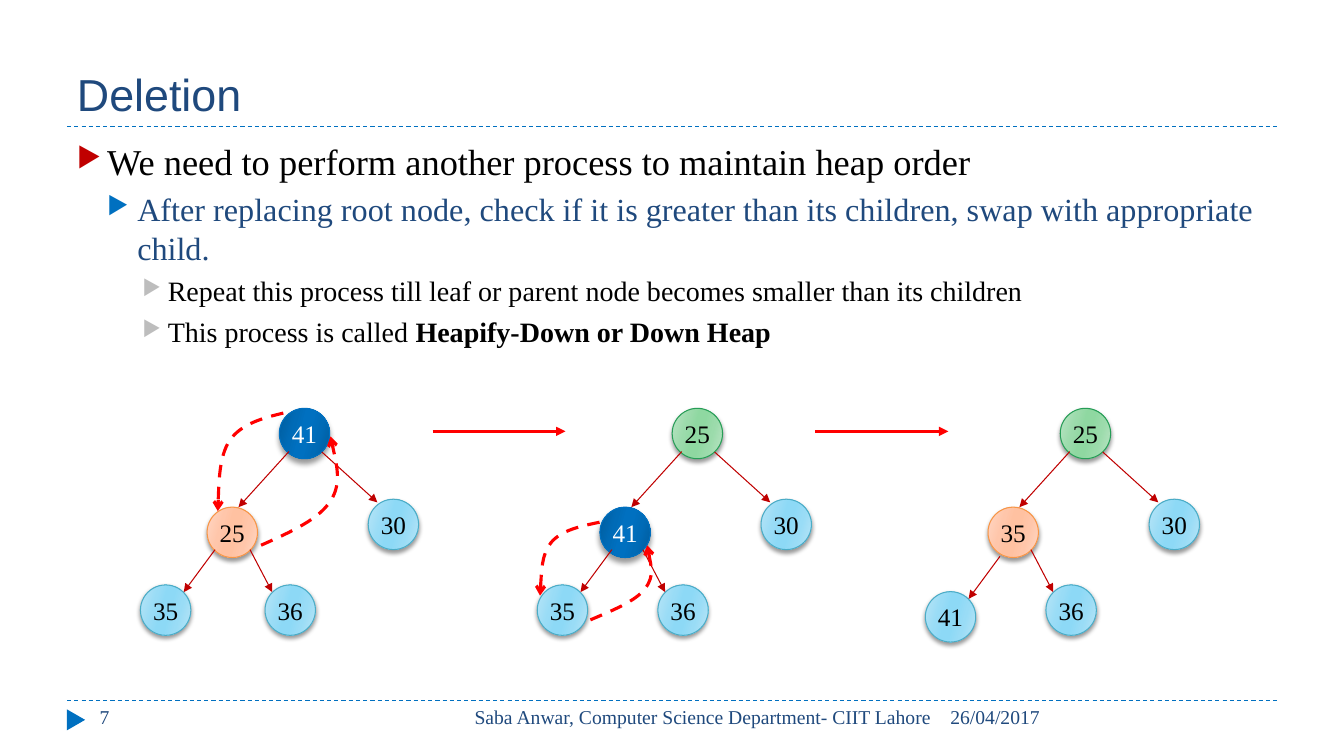
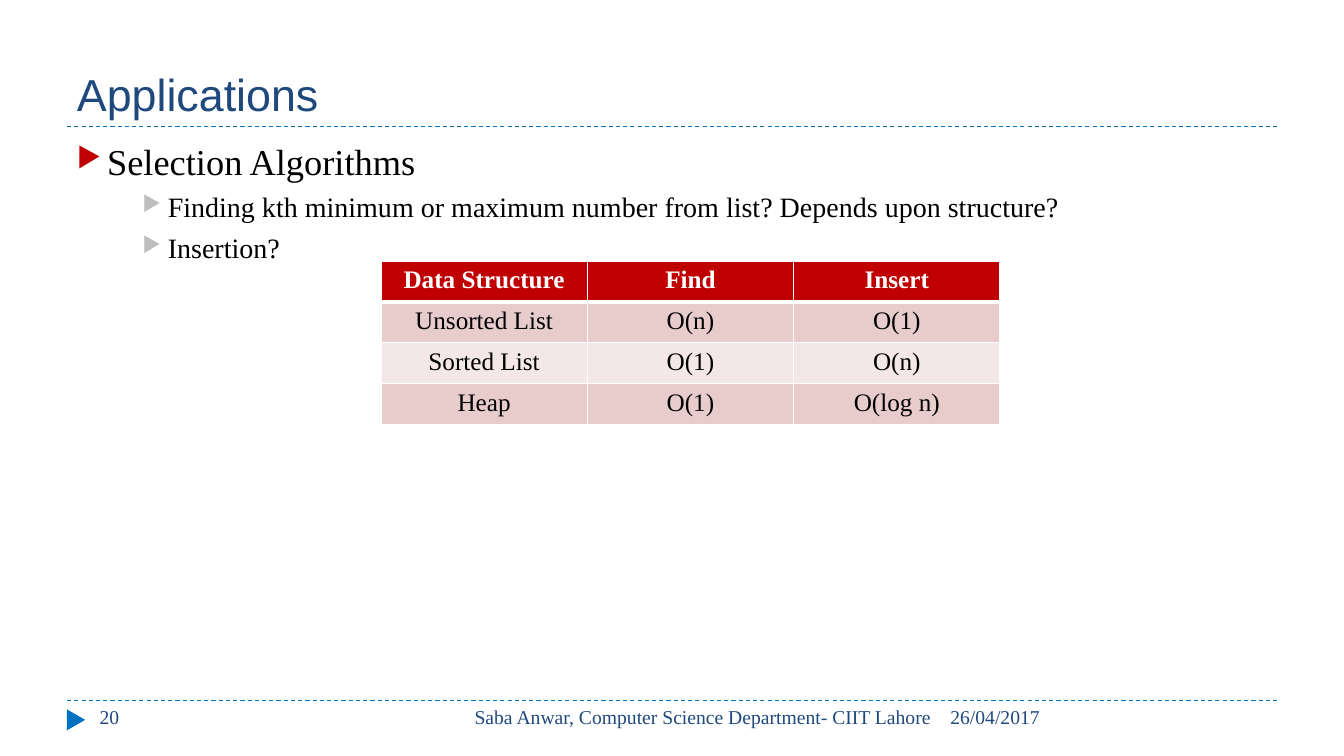
"""Builds two lecture slides on heaps: deletion and applications."""
from dataclasses import dataclass

from lxml.etree import SubElement
from pptx import Presentation
from pptx.dml.color import RGBColor
from pptx.enum.dml import MSO_LINE
from pptx.enum.shapes import MSO_CONNECTOR, MSO_SHAPE
from pptx.enum.text import MSO_ANCHOR as Anchor, PP_ALIGN as Align
from pptx.oxml.ns import qn
from pptx.util import Cm, Pt

Point = tuple[float, float]

COLOURS = {
    "navy": "1F497D", "blue": "0070C0", "red": "C00000", "signal": "FF0000",
    "grey": "BDBDBD", "black": "000000", "white": "FFFFFF",
    "band": "E8CCCC", "pale_band": "F4E7E7",
}
SERIF, SANS = "Times New Roman", "Arial"
LEFT, WIDTH = 1.69, 30.48
TITLE_RULE, FOOTER_RULE = 3.18, 17.65
NODE_SIZE, ROOT_TOP = 1.27, 10.29
GRADIENT_STOPS = (0, 30, 45, 55, 73, 100)


@dataclass(frozen=True)
class NodeStyle:
    outer: str
    middle: str
    core: str
    line: str
    text: str = "black"
    blur: float = 3
    distance: float = 2


@dataclass(frozen=True)
class Branch:
    offset: Point
    start: Point
    end: Point


@dataclass(frozen=True)
class Tree:
    left: float
    nodes: tuple[tuple[str, str], ...]
    leaf: Point


@dataclass(frozen=True)
class Level:
    size: int
    colour: str
    bullet: str
    margin: float
    hanging: float


@dataclass(frozen=True)
class Item:
    level: int
    text: str
    bold: str = ""


STYLES = {
    "sky": NodeStyle("B9E5F7", "99DCF6", "8DD9F6", "4BACC6"),
    "peach": NodeStyle("FFD7C5", "FFC6AA", "FFC1A1", "F79646"),
    "green": NodeStyle("BBE4C5", "9BDBAB", "8FD8A1", "279D57"),
    "blue": NodeStyle("005C9D", "006BB7", "0070C0", "0070C0", "white", 4, 3.4),
}
LEVELS = (
    Level(26, "black", "red", 0.76, 0.76),
    Level(23, "navy", "blue", 1.52, 0.76),
    Level(20, "black", "grey", 2.29, 0.64),
)
LEFT_CHILD = Branch((-1.82, 2.49), (2.06, -1.4), (0.79, 0))
RIGHT_CHILD = Branch((2.24, 2.29), (-1.17, -1.19), (0.23, 0.08))
RIGHT_LEAF = Branch((-0.36, 4.45), (-0.38, -0.89), (0.18, 0.18))
TREES = (
    Tree(7.04, (("41", "blue"), ("25", "peach"), ("30", "sky"), ("35", "sky"), ("36", "sky")),
         (-3.5, 4.45)),
    Tree(16.94, (("25", "green"), ("41", "blue"), ("30", "sky"), ("35", "sky"), ("36", "sky")),
         (-3.4, 4.45)),
    Tree(26.72, (("25", "green"), ("35", "peach"), ("30", "sky"), ("41", "sky"), ("36", "sky")),
         (-3.4, 4.62)),
)
SWAPS = (
    ((7.14, 10.41), (6.6, 10.54), (6.07, 10.69), (5.79, 11.1),
     (5.51, 11.51), (5.49, 12.88), (5.49, 12.88)),
    ((6.58, 13.74), (7.32, 13.41), (8.05, 13.08), (8.33, 12.62),
     (8.64, 12.17), (8.33, 11), (8.33, 11)),
    ((15.11, 13.16), (14.63, 13.26), (14.15, 13.36), (13.89, 13.67),
     (13.64, 13.97), (13.61, 15.01), (13.61, 15.01)),
    ((14.88, 15.62), (15.47, 15.37), (16.03, 15.14), (16.26, 14.83),
     (16.51, 14.5), (16.31, 13.74), (16.31, 13.74)),
)
DELETION = (
    Item(0, "We need to perform another process to maintain heap order"),
    Item(1, "After replacing root node, check if it is greater than its children, "
            "swap with appropriate child."),
    Item(2, "Repeat this process till leaf or parent node becomes smaller than its children"),
    Item(2, "This process is called ", "Heapify-Down or Down Heap"),
)
APPLICATIONS = (
    Item(0, "Selection Algorithms"),
    Item(2, "Finding kth minimum or maximum number from list? Depends upon structure?"),
    Item(2, "Insertion?"),
)
COSTS = (
    ("Data Structure", "Find", "Insert"),
    ("Unsorted List", "O(n)", "O(1)"),
    ("Sorted List", "O(1)", "O(n)"),
    ("Heap", "O(1)", "O(log n)"),
)


def rgb(name: str) -> RGBColor:
    return RGBColor.from_string(COLOURS.get(name, name))


def add_child(parent, tag: str, **attributes):
    return SubElement(parent, qn(tag), {key: str(value) for key, value in attributes.items()})


def add_colour(parent, name: str):
    return add_child(parent, "a:srgbClr", val=COLOURS.get(name, name))


def format_para(para, size: int, colour: str, font: str = SERIF, bold: bool = False) -> None:
    for span in para.runs:
        span.font.name, span.font.size, span.font.bold = font, Pt(size), bold
        span.font.color.rgb = rgb(colour)


def style_line(shape, colour: str, width: float, dashed: bool = False, head: str = "") -> None:
    shape.line.color.rgb = rgb(colour)
    shape.line.width = Pt(width)
    if dashed:
        shape.line.dash_style = MSO_LINE.DASH
    if head:
        add_child(shape._element.spPr.find(qn("a:ln")), "a:tailEnd", type=head)


def add_line(page, start: Point, end: Point, colour: str, width: float = 0.75,
             dashed: bool = False, head: str = "") -> None:
    line = page.shapes.add_connector(
        MSO_CONNECTOR.STRAIGHT, *(Cm(value) for value in (*start, *end)))
    style_line(line, colour, width, dashed, head)
    add_child(line._element.spPr, "a:effectLst")


def add_box(page, left: float, top: float, width: float, height: float):
    box = page.shapes.add_textbox(Cm(left), Cm(top), Cm(width), Cm(height))
    box.text_frame.word_wrap = True
    return box


def add_label(page, text: str, frame: tuple[float, float, float, float], size: int = 14,
              font: str = SERIF, align: Align = Align.LEFT, anchor: Anchor = Anchor.TOP) -> None:
    text_frame = add_box(page, *frame).text_frame
    text_frame.text = text
    text_frame.vertical_anchor = anchor
    para = text_frame.paragraphs[0]
    para.alignment = align
    format_para(para, size, "navy", font)


def add_page(deck, title: str, number: int, items: tuple[Item, ...]):
    page = deck.slides.add_slide(deck.slide_layouts[6])
    for top in (FOOTER_RULE, TITLE_RULE):
        add_line(page, (LEFT, top), (LEFT + WIDTH, top), "blue", dashed=True)
    marker = page.shapes.add_shape(
        MSO_SHAPE.ISOSCELES_TRIANGLE, Cm(1.65), Cm(17.91), Cm(0.53), Cm(0.46))
    marker.rotation = 90
    marker.shadow.inherit = False
    marker.fill.solid()
    marker.fill.fore_color.rgb = rgb("blue")
    marker.line.fill.background()
    add_label(page, title, (LEFT, 0.43, WIDTH, 2.74), 32, SANS, anchor=Anchor.BOTTOM)
    add_label(page, "26/04/2017", (23.7, FOOTER_RULE, 8.48, 1.02))
    add_label(page, "Saba Anwar, Computer Science Department- CIIT Lahore",
              (10.74, FOOTER_RULE, 12.98, 1.02), align=Align.RIGHT)
    add_label(page, str(number), (2.26, FOOTER_RULE, 7.34, 1.02))
    add_items(page, items)
    return page


def add_items(page, items: tuple[Item, ...]) -> None:
    text_frame = add_box(page, LEFT, 3.38, WIDTH, 13.72).text_frame
    for index, item in enumerate(items):
        para = text_frame.add_paragraph() if index else text_frame.paragraphs[0]
        para.text = item.text
        para.level = item.level
        level = LEVELS[item.level]
        properties = para._p.get_or_add_pPr()
        properties.set("marL", str(Cm(level.margin)))
        properties.set("indent", str(-Cm(level.hanging)))
        add_colour(add_child(properties, "a:buClr"), level.bullet)
        add_child(properties, "a:buSzPct", val=76000)
        add_child(properties, "a:buChar", char="▶")
        if index:
            para.space_before = Pt(5)
        format_para(para, level.size, level.colour)
        if item.bold:
            span = para.add_run()
            span.text = item.bold
            format_para(para, level.size, level.colour)
            span.font.bold = True


def add_node(page, text: str, style: NodeStyle, left: float, top: float) -> None:
    node = page.shapes.add_shape(
        MSO_SHAPE.OVAL, Cm(left), Cm(top), Cm(NODE_SIZE), Cm(NODE_SIZE))
    node.fill.gradient()
    node.fill.gradient_angle = 344
    properties = node._element.spPr
    stops = properties.find(qn("a:gradFill")).find(qn("a:gsLst"))
    stops.clear()
    half = (style.outer, style.middle, style.core)
    for position, colour in zip(GRADIENT_STOPS, half + half[::-1]):
        add_colour(add_child(stops, "a:gs", pos=position * 1000), colour)
    style_line(node, style.line, 0.75)
    node.shadow.inherit = False
    shadow = add_child(properties.find(qn("a:effectLst")), "a:outerShdw",
                       blurRad=Pt(style.blur), dist=Pt(style.distance),
                       dir=5400000, rotWithShape=0)
    add_child(add_colour(shadow, "black"), "a:alpha", val=40000)
    text_frame = node.text_frame
    text_frame.margin_left = text_frame.margin_right = 0
    text_frame.vertical_anchor = Anchor.MIDDLE
    text_frame.text = text
    para = text_frame.paragraphs[0]
    para.alignment = Align.CENTER
    format_para(para, 18, style.text)


def add_tree(page, tree: Tree) -> None:
    left_leaf = Branch(tree.leaf, (1.88, -0.89), (1.09, 0.18))
    branches = (LEFT_CHILD, RIGHT_CHILD, left_leaf, RIGHT_LEAF)
    places = [(tree.left, ROOT_TOP)]
    places += [(tree.left + branch.offset[0], ROOT_TOP + branch.offset[1]) for branch in branches]
    for (text, style), place in zip(tree.nodes, places):
        add_node(page, text, STYLES[style], *place)
    for branch, (left, top) in zip(branches, places[1:]):
        start, end = ((left + dx, top + dy) for dx, dy in (branch.start, branch.end))
        add_line(page, start, end, "red", head="triangle")


def add_swap(page, points: tuple[Point, ...]) -> None:
    start, *rest = [(Cm(x), Cm(y)) for x, y in points]
    builder = page.shapes.build_freeform(*start)
    builder.add_line_segments(rest, close=False)
    curve = builder.convert_to_shape()
    outline = next(curve._element.spPr.iter(qn("a:path")))
    segments = outline.findall(qn("a:lnTo"))
    for first in range(0, len(segments), 3):
        bezier = add_child(outline, "a:cubicBezTo")
        for segment in segments[first:first + 3]:
            bezier.append(segment[0])
            outline.remove(segment)
    curve.fill.background()
    curve.shadow.inherit = False
    style_line(curve, "signal", 2.25, dashed=True, head="arrow")


def add_costs(page) -> None:
    table = page.shapes.add_table(
        len(COSTS), len(COSTS[0]), Cm(9.6), Cm(6.58), Cm(15.6), Cm(4.12)).table
    for row, texts in enumerate(COSTS):
        fill = "red" if row == 0 else ("pale_band", "band")[row % 2]
        for column, text in enumerate(texts):
            cell = table.cell(row, column)
            properties = cell._tc.get_or_add_tcPr()
            widths = {"L": 1, "R": 1, "T": 3 if row == 1 else 1, "B": 1 if row else 3}
            for side, width in widths.items():
                border = add_child(properties, f"a:ln{side}", w=Pt(width))
                add_colour(add_child(border, "a:solidFill"), "white")
            cell.fill.solid()
            cell.fill.fore_color.rgb = rgb(fill)
            cell.text_frame.text = text
            para = cell.text_frame.paragraphs[0]
            para.alignment = Align.CENTER
            format_para(para, 18, "black" if row else "white", bold=row == 0)


def main() -> None:
    deck = Presentation()
    deck.slide_width, deck.slide_height = Cm(33.87), Cm(19.05)
    deletion = add_page(deck, "Deletion", 7, DELETION)
    for tree in TREES:
        add_tree(deletion, tree)
    for left in (10.9, 20.55):
        add_line(deletion, (left, 10.87), (left + 3.35, 10.87), "signal", 2.25, head="triangle")
    for points in SWAPS:
        add_swap(deletion, points)
    add_costs(add_page(deck, "Applications", 20, APPLICATIONS))
    deck.save("out.pptx")


if __name__ == "__main__":
    main()
